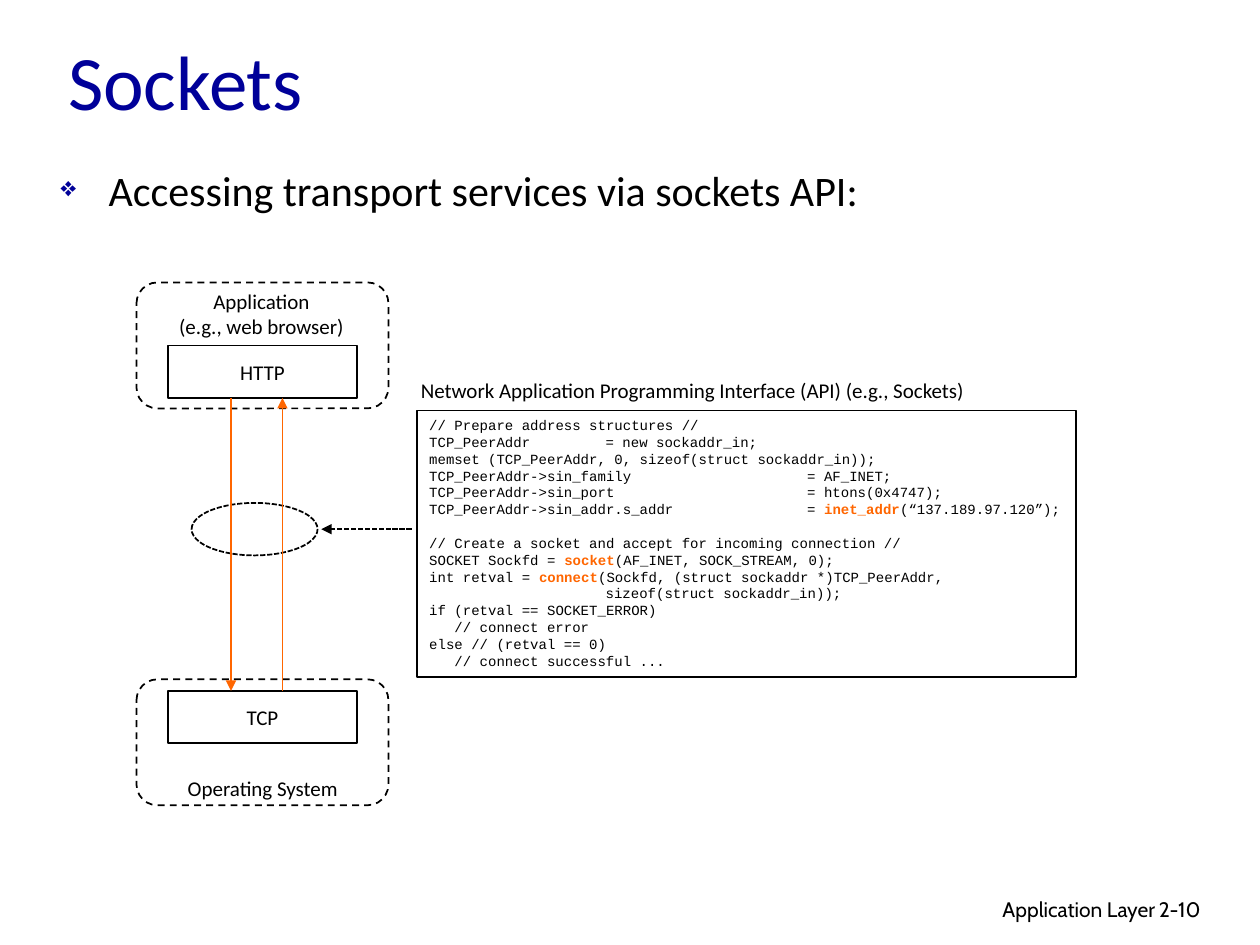
from dataclasses import dataclass
from typing import Optional

import lxml.etree
import pptx
import pptx.dml.color
import pptx.enum.dml
import pptx.enum.shapes
import pptx.enum.text
import pptx.oxml.ns
import pptx.util

Align = pptx.enum.text.PP_ALIGN
Anchor = pptx.enum.text.MSO_ANCHOR
Dash = pptx.enum.dml.MSO_LINE
Preset = pptx.enum.shapes.MSO_SHAPE
qn = pptx.oxml.ns.qn

COLORS = {"ink": "000000", "navy": "000099", "orange": "FF6600"}
SLIDE_WIDTH, SLIDE_HEIGHT = 10, 7.5
COLUMNS, ROWS = 120, 90
CODE_LINE = 9.6  # points from one code line to the next


@dataclass
class Area:
    """A rectangle in grid columns and rows."""
    column: float
    row: float
    columns: float
    rows: float


@dataclass
class Outline:
    preset: Preset
    area: Area
    dash: Optional[Dash] = None
    label: str = ""


@dataclass
class Arrow:
    start: tuple[float, float]
    end: tuple[float, float]
    color: str
    dash: Optional[Dash] = None


@dataclass
class CodeLine:
    text: str
    call: str = ""  # highlighted function name
    rest: str = ""
    indent: int = 0  # characters
    gap: float = 0  # blank lines above


def across(columns: float) -> pptx.util.Length:
    return pptx.util.Inches(columns * SLIDE_WIDTH / COLUMNS)


def down(rows: float) -> pptx.util.Length:
    return pptx.util.Inches(rows * SLIDE_HEIGHT / ROWS)


def place(area: Area) -> tuple:
    return across(area.column), down(area.row), across(area.columns), down(area.rows)


def rgb(name: str) -> pptx.dml.color.RGBColor:
    return pptx.dml.color.RGBColor.from_string(COLORS[name])


def add_span(para, text: str, *, size=12, font="Calibri", color="ink", bold=False):
    span = para.add_run()
    span.text = text
    span.font.size = pptx.util.Pt(size)
    span.font.name = font
    span.font.color.rgb = rgb(color)
    span.font.bold = bold


def write(box, text: str, *, align=Align.LEFT, anchor=Anchor.TOP, wrap=False, **span_format):
    """Fill a box with one paragraph per line of text."""
    frame = box.text_frame
    frame.word_wrap = wrap
    frame.vertical_anchor = anchor
    for index, line in enumerate(text.split("\n")):
        para = frame.add_paragraph() if index else frame.paragraphs[0]
        para.alignment = align
        add_span(para, line, **span_format)
    return frame


def style_line(line, color: str, dash: Optional[Dash]):
    line.color.rgb = rgb(color)
    line.width = pptx.util.Pt(1)
    if dash is not None:
        line.dash_style = dash


def draw_outline(page, outline: Outline):
    shape = page.shapes.add_shape(outline.preset, *place(outline.area))
    shape.shadow.inherit = False
    shape.fill.background()
    style_line(shape.line, "ink", outline.dash)
    if outline.label:
        write(shape, outline.label, align=Align.CENTER, anchor=Anchor.MIDDLE)
    return shape


def draw_arrow(page, arrow: Arrow):
    (x1, y1), (x2, y2) = arrow.start, arrow.end
    connector = page.shapes.add_connector(
        pptx.enum.shapes.MSO_CONNECTOR.STRAIGHT, across(x1), down(y1), across(x2), down(y2))
    style_line(connector.line, arrow.color, arrow.dash)
    line = connector.line._get_or_add_ln()
    lxml.etree.SubElement(line, qn("a:tailEnd"), type="triangle")
    lxml.etree.SubElement(connector._element.spPr, qn("a:effectLst"))


def add_bullet(para, symbol: str, color: str, indent: float):
    properties = para._p.get_or_add_pPr()
    properties.set("marL", str(pptx.util.Inches(indent)))
    properties.set("indent", str(-pptx.util.Inches(indent)))
    bullet_color = lxml.etree.SubElement(properties, qn("a:buClr"))
    lxml.etree.SubElement(bullet_color, qn("a:srgbClr"), val=COLORS[color])
    lxml.etree.SubElement(properties, qn("a:buSzPct"), val="65000")
    lxml.etree.SubElement(properties, qn("a:buChar"), char=symbol)


def write_code(box, lines: list[CodeLine], tab_stops: list[float]):
    frame = box.text_frame
    frame.word_wrap = False
    frame.vertical_anchor = Anchor.TOP
    for index, line in enumerate(lines):
        para = frame.add_paragraph() if index else frame.paragraphs[0]
        para.alignment = Align.LEFT
        para.line_spacing = pptx.util.Pt(CODE_LINE)
        para.space_before = pptx.util.Pt(line.gap * CODE_LINE)
        properties = para._p.get_or_add_pPr()
        properties.set("marL", str(pptx.util.Pt(line.indent * 4.8)))
        stops = lxml.etree.SubElement(properties, qn("a:tabLst"))
        for stop in tab_stops:
            lxml.etree.SubElement(stops, qn("a:tab"), pos=str(pptx.util.Inches(stop)), algn="l")
        for text, color in ((line.text, "ink"), (line.call, "orange"), (line.rest, "ink")):
            if text:
                add_span(para, text, size=8, font="Courier New", color=color,
                         bold=color == "orange")


OUTLINES = [
    Outline(Preset.RECTANGLE, Area(16, 32.9, 18, 5), label="HTTP"),
    Outline(Preset.RECTANGLE, Area(16, 65.8, 18, 5), label="TCP"),
    Outline(Preset.ROUNDED_RECTANGLE, Area(13, 26.9, 24, 12), Dash.DASH),
    Outline(Preset.ROUNDED_RECTANGLE, Area(13, 64.7, 24, 12), Dash.DASH),
    Outline(Preset.OVAL, Area(18.25, 47.9, 12, 5), Dash.SQUARE_DOT),
]
ARROWS = [
    Arrow((22, 37.9), (22, 65.8), "orange"),
    Arrow((26.9, 65.8), (26.9, 37.9), "orange"),
    Arrow((39.2, 50.4), (30.6, 50.4), "ink", Dash.SQUARE_DOT),
]
TEXTS = [
    (Area(73.2, 84.8, 38, 3.7), "Application Layer",
     dict(font="Cabin", align=Align.RIGHT, wrap=True)),
    (Area(109.2, 84.8, 8.9, 3.6), "2-10", dict(font="Cabin", wrap=True)),
    (Area(5.3, 1.7, 106, 11.8), "Sockets",
     dict(size=44, color="navy", anchor=Anchor.MIDDLE, wrap=True)),
    (Area(15.85, 26.9, 18.1, 6.1), "Application\n(e.g., web browser)", dict(align=Align.CENTER)),
    (Area(16.7, 73.3, 17, 3.6), "Operating System", {}),
    (Area(38.9, 35.4, 55.2, 3.6),
     "Network Application Programming Interface (API) (e.g., Sockets)", {}),
]
CODE = [
    CodeLine("// Prepare address structures //"),
    CodeLine("TCP_PeerAddr\t= new sockaddr_in;"),
    CodeLine("memset (TCP_PeerAddr, 0, sizeof(struct sockaddr_in));"),
    CodeLine("TCP_PeerAddr->sin_family\t= AF_INET;"),
    CodeLine("TCP_PeerAddr->sin_port\t= htons(0x4747);"),
    CodeLine("TCP_PeerAddr->sin_addr.s_addr\t= ", "inet_addr", "(“137.189.97.120”);"),
    CodeLine("// Create a socket and accept for incoming connection //", gap=1),
    CodeLine("SOCKET Sockfd = ", "socket", "(AF_INET, SOCK_STREAM, 0);"),
    CodeLine("int retval = ", "connect", "(Sockfd, (struct sockaddr *)TCP_PeerAddr,"),
    CodeLine("\tsizeof(struct sockaddr_in));"),
    CodeLine("if (retval == SOCKET_ERROR)"),
    CodeLine("// connect error", indent=3),
    CodeLine("else // (retval == 0)"),
    CodeLine("// connect successful ...", indent=3),
]


def main():
    deck = pptx.Presentation()
    deck.slide_width = pptx.util.Inches(SLIDE_WIDTH)
    deck.slide_height = pptx.util.Inches(SLIDE_HEIGHT)
    page = deck.slides.add_slide(deck.slide_layouts[6])

    # Title, labels and footer
    for area, text, text_format in TEXTS:
        write(page.shapes.add_textbox(*place(area)), text, **text_format)

    # Bulleted statement
    body = page.shapes.add_textbox(*place(Area(4.6, 15.8, 108, 11)))
    para = write(body, "Accessing transport services via sockets API:",
                 size=24, wrap=True).paragraphs[0]
    para.line_spacing = 0.85
    para.space_before = pptx.util.Pt(4.8)
    add_bullet(para, "❖", "navy", 0.38)

    # Protocol stack and its connections
    for outline in OUTLINES:
        draw_outline(page, outline)
    for arrow in ARROWS:
        draw_arrow(page, arrow)

    # Code listing
    listing = draw_outline(page, Outline(Preset.RECTANGLE, Area(39.7, 39.1, 62.8, 25.4)))
    write_code(listing, CODE, tab_stops=[1.4, 3])

    deck.save("out.pptx")


if __name__ == "__main__":
    main()
